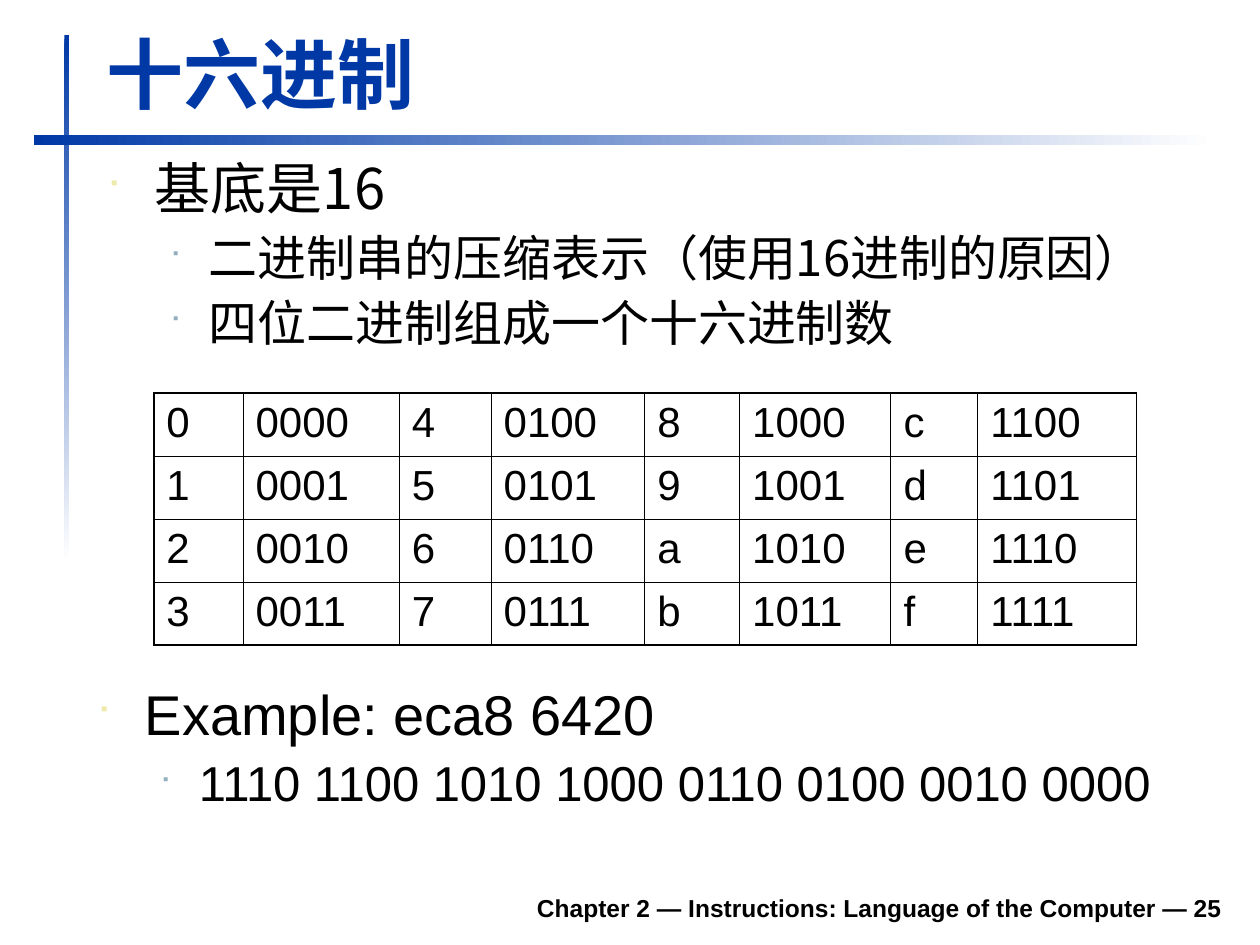
"""Build the slide on hexadecimal notation with its table of four-bit codes."""
from dataclasses import dataclass

from lxml.etree import SubElement
from pptx import Presentation
from pptx.dml.color import RGBColor
from pptx.enum.shapes import MSO_SHAPE
from pptx.enum.text import MSO_ANCHOR, MSO_AUTO_SIZE, PP_ALIGN
from pptx.oxml.ns import qn
from pptx.util import Cm, Pt


@dataclass(frozen=True)
class Theme:
    blue: str = "0039A6"
    white: str = "FFFFFF"
    black: str = "000000"
    bullets: tuple = ("ECEAAC", "91AFBF")
    latin: str = "Arial"
    chinese: str = "Noto Sans CJK SC"
    title: int = 44
    levels: tuple = (32, 28)
    code: int = 24
    footer: int = 14


theme = Theme()
bullet_scales = (60000, 55000)
margins = (Cm(0.97), Cm(2.06))
hangs = (Cm(-0.97), Cm(-0.79))
spaces = (8, 7)


def write(frame, text, size, color=theme.black, font=theme.latin, bold=False,
          align=PP_ALIGN.LEFT, level=None):
    first = not frame.text
    paragraph = frame.paragraphs[0] if first else frame.add_paragraph()
    paragraph.alignment = align
    paragraph.space_before = Pt(0)
    if level is not None:
        paragraph.level = level
        paragraph.line_spacing = 0.9
        paragraph.space_before = Pt(0 if first else spaces[level])
        props = paragraph._p.get_or_add_pPr()
        props.set("marL", str(margins[level]))
        props.set("indent", str(hangs[level]))
        tint = SubElement(props, qn("a:buClr"))
        SubElement(tint, qn("a:srgbClr"), val=theme.bullets[level])
        SubElement(props, qn("a:buSzPct"), val=str(bullet_scales[level]))
        SubElement(props, qn("a:buFont"), typeface="Wingdings")
        SubElement(props, qn("a:buChar"), char="■")
    run = paragraph.add_run()
    run.text = text
    run.font.size = Pt(size)
    run.font.bold = bold
    run.font.name = font
    run.font.color.rgb = RGBColor.from_string(color)
    SubElement(run.font._element, qn("a:ea"), typeface=theme.chinese)


def set_borders(cell, widths):
    props = cell._tc.get_or_add_tcPr()
    for side, width in widths.items():
        line = SubElement(props, qn(f"a:ln{side}"), w=str(Pt(width)))
        fill = SubElement(line, qn("a:solidFill"))
        SubElement(fill, qn("a:srgbClr"), val=theme.black)
    cell.fill.background()


presentation = Presentation()
presentation.slide_width = Cm(25.4)
presentation.slide_height = Cm(19.05)
slide = presentation.slides.add_slide(presentation.slide_layouts[5])

for left, top, width, height, angle in (
    (1.3, 0.71, 0.1, 10.59, 270),
    (0.69, 2.72, 23.8, 0.2, 0),
):
    rule = slide.shapes.add_shape(
        MSO_SHAPE.RECTANGLE, Cm(left), Cm(top), Cm(width), Cm(height))
    rule.shadow.inherit = False
    rule.line.fill.background()
    rule.fill.gradient()
    rule.fill.gradient_angle = angle
    for stop, color in zip(rule.fill.gradient_stops, (theme.blue, theme.white)):
        stop.color.rgb = RGBColor.from_string(color)

title = slide.shapes.title
title.left, title.top, title.width, title.height = Cm(1.9), Cm(0.41), Cm(22.94), Cm(2.11)
title.text_frame.vertical_anchor = MSO_ANCHOR.BOTTOM
title.text_frame.auto_size = MSO_AUTO_SIZE.SHAPE_TO_FIT_TEXT
write(title.text_frame, "十六进制", theme.title, color=theme.blue, bold=True)

outlines = (
    (1.9, 3.12, 22.96, 4.39, theme.chinese, (
        (0, "基底是16"),
        (1, "二进制串的压缩表示（使用16进制的原因）"),
        (1, "四位二进制组成一个十六进制数"),
    )),
    (1.7, 13.72, 22.96, 3.2, theme.latin, (
        (0, "Example: eca8 6420"),
        (1, "1110 1100 1010 1000 0110 0100 0010 0000"),
    )),
)
for left, top, width, height, font, points in outlines:
    outline = slide.shapes.add_textbox(Cm(left), Cm(top), Cm(width), Cm(height))
    outline.text_frame.word_wrap = True
    for level, point in points:
        write(outline.text_frame, point, theme.levels[level], font=font, level=level)

column_widths = (1.8, 3.15, 1.85, 3.1, 1.91, 3.05, 1.75, 3.2)
row_count, column_count = 4, len(column_widths)
codes = slide.shapes.add_table(
    row_count, column_count, Cm(3.1), Cm(7.92), Cm(19.81), Cm(5.08)).table
codes.first_row = codes.horz_banding = False
for column, width in zip(codes.columns, column_widths):
    column.width = Cm(width)
outer, inner, group = 1.08, 0.45, 0.75
vertical_rules = [outer, *(inner if edge % 2 else group
                           for edge in range(1, column_count)), outer]
horizontal_rules = [outer, *[inner] * (row_count - 1), outer]
for row in range(row_count):
    for column in range(column_count):
        digit = column // 2 * row_count + row
        cell = codes.cell(row, column)
        write(cell.text_frame, f"{digit:04b}" if column % 2 else f"{digit:x}", theme.code)
        set_borders(cell, {
            "L": vertical_rules[column], "R": vertical_rules[column + 1],
            "T": horizontal_rules[row], "B": horizontal_rules[row + 1],
        })

footer = slide.shapes.add_textbox(Cm(4.7), Cm(17.73), Cm(20.19), Cm(0.99))
footer.text_frame.word_wrap = True
footer.text_frame.vertical_anchor = MSO_ANCHOR.BOTTOM
write(footer.text_frame, "Chapter 2 — Instructions: Language of the Computer — 25",
      theme.footer, bold=True, align=PP_ALIGN.RIGHT)

presentation.save("out.pptx")
